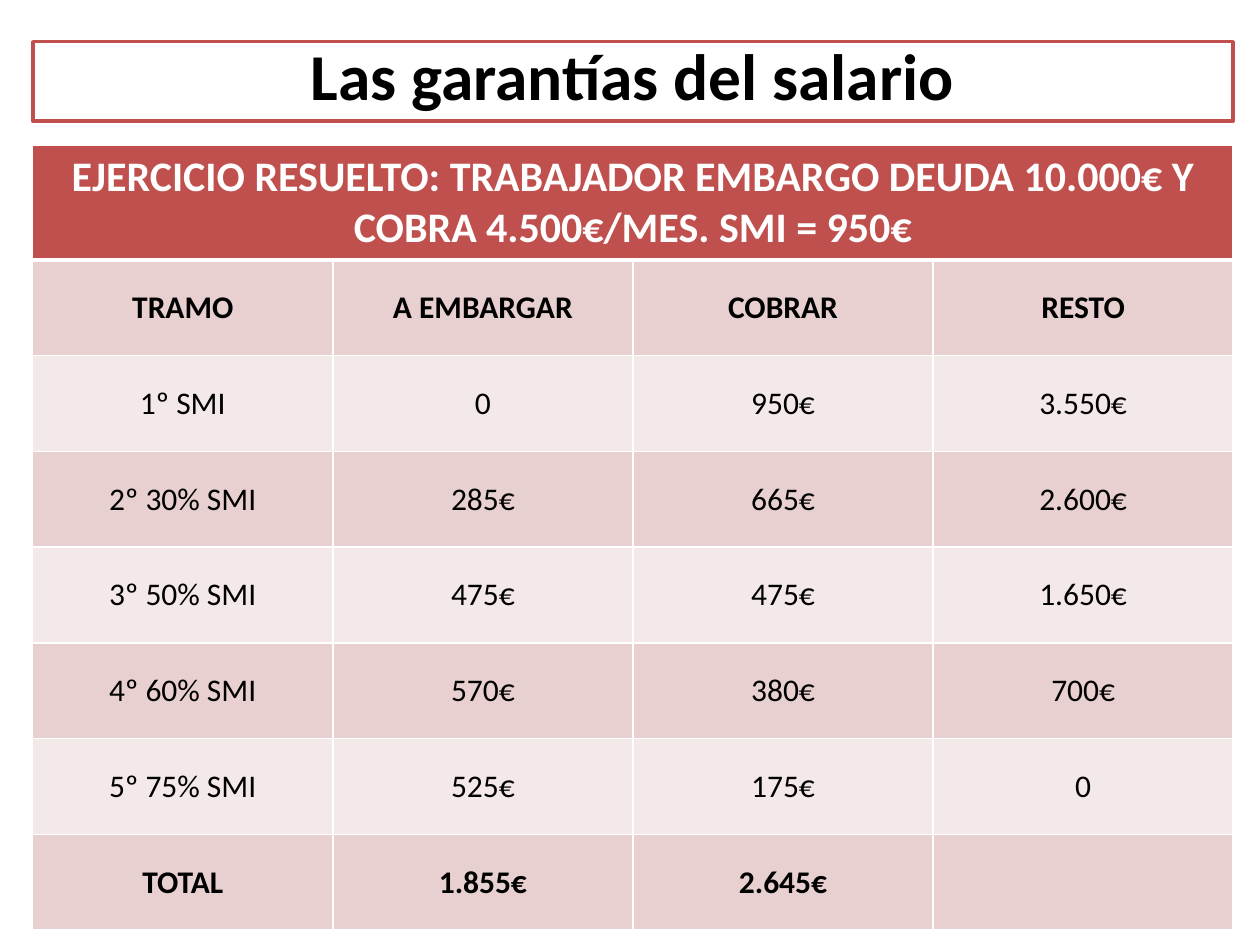
from lxml.etree import SubElement
from pptx import Presentation
from pptx.dml.color import RGBColor
from pptx.enum.text import MSO_ANCHOR as Anchor, MSO_AUTO_SIZE as AutoSize, PP_ALIGN as Align
from pptx.oxml.ns import qn
from pptx.util import Cm, Pt

TITLE = "Las garantías del salario"
EXERCISE = "EJERCICIO RESUELTO: TRABAJADOR EMBARGO DEUDA 10.000€ Y COBRA 4.500€/MES. SMI = 950€"
ROWS = [
    ("TRAMO", "A EMBARGAR", "COBRAR", "RESTO"),
    ("1º SMI", "0", "950€", "3.550€"),
    ("2º 30% SMI", "285€", "665€", "2.600€"),
    ("3º 50% SMI", "475€", "475€", "1.650€"),
    ("4º 60% SMI", "570€", "380€", "700€"),
    ("5º 75% SMI", "525€", "175€", "0"),
    ("TOTAL", "1.855€", "2.645€", ""),
]
RED, WHITE, BLACK = "C0504D", "FFFFFF", "000000"
BANDS = ("E8D0D0", "F4E9E9")
LEFT, WIDTH = 0.66, 24.2
TABLE_TOP, EXERCISE_HEIGHT, ROW_HEIGHT = 2.92, 2.28, 1.93


def paint(fill, color):
    fill.solid()
    fill.fore_color.rgb = RGBColor.from_string(color)


def write(frame, text, size=18, color=BLACK, bold=False, spacing=None):
    paragraph = frame.paragraphs[0]
    paragraph.alignment = Align.CENTER
    paragraph.line_spacing = spacing
    if not text:
        return
    run = paragraph.add_run()
    run.text = text
    run.font.name, run.font.size, run.font.bold = "Calibri", Pt(size), bold
    run.font.color.rgb = RGBColor.from_string(color)


def format_cell(cell, fill, top=1, bottom=1):
    cell.vertical_anchor = Anchor.MIDDLE
    properties = cell._tc.get_or_add_tcPr()
    for side, width in (("L", 1), ("R", 1), ("T", top), ("B", bottom)):
        line = SubElement(properties, qn(f"a:ln{side}"), w=str(Pt(width)))
        SubElement(SubElement(line, qn("a:solidFill")), qn("a:srgbClr"), val=WHITE)
    paint(cell.fill, fill)


def add_title(slide):
    title = slide.shapes.title
    title.left, title.top, title.width, title.height = Cm(LEFT), Cm(0.84), Cm(WIDTH), Cm(1.6)
    paint(title.fill, WHITE)
    paint(title.line.fill, RED)
    title.line.width = Pt(2)
    frame = title.text_frame
    frame.auto_size, frame.word_wrap = AutoSize.NONE, True
    frame.vertical_anchor = Anchor.MIDDLE
    write(frame, TITLE, size=37.4, bold=True, spacing=0.8)


def add_garnishment_table(slide):
    height = EXERCISE_HEIGHT + ROW_HEIGHT * len(ROWS)
    table = slide.shapes.add_table(
        len(ROWS) + 1, len(ROWS[0]), Cm(LEFT), Cm(TABLE_TOP), Cm(WIDTH), Cm(height)
    ).table
    for row in table.rows:
        row.height = Cm(ROW_HEIGHT)
    table.rows[0].height = Cm(EXERCISE_HEIGHT)

    for column in range(len(ROWS[0])):
        format_cell(table.cell(0, column), RED, bottom=3)
    exercise = table.cell(0, 0)
    exercise.merge(table.cell(0, len(ROWS[0]) - 1))
    write(exercise.text_frame, EXERCISE, size=24, color=WHITE, bold=True)

    for index, values in enumerate(ROWS):
        for column, value in enumerate(values):
            cell = table.cell(index + 1, column)
            format_cell(cell, BANDS[index % 2], top=3 if index == 0 else 1)
            write(cell.text_frame, value, bold=index in (0, len(ROWS) - 1))


def main():
    """Build the slide on wage garnishment and save it."""
    deck = Presentation()
    deck.slide_width, deck.slide_height = Cm(25.4), Cm(19.05)
    slide = deck.slides.add_slide(deck.slide_layouts[5])
    add_title(slide)
    add_garnishment_table(slide)
    deck.save("out.pptx")


if __name__ == "__main__":
    main()
